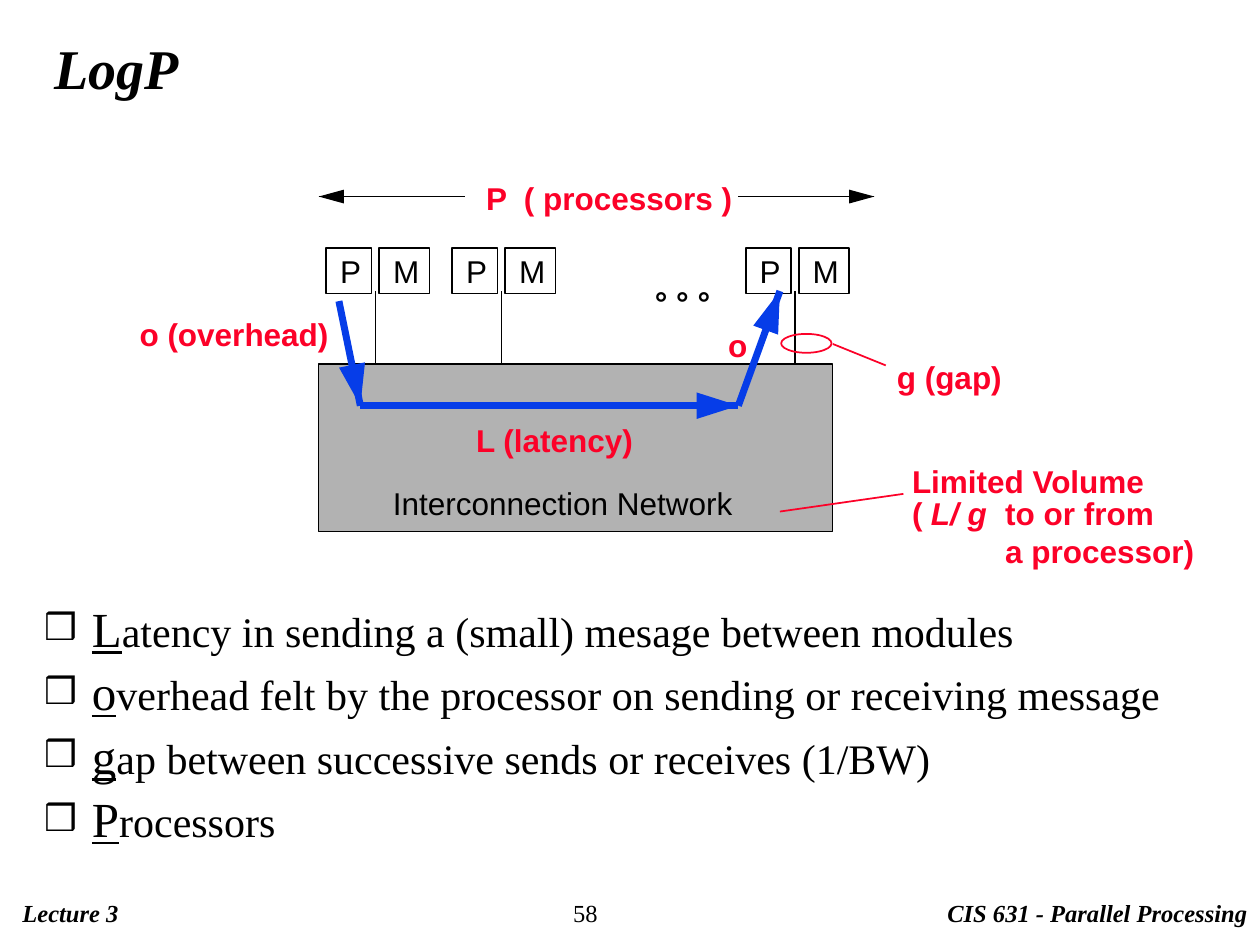
import math
from dataclasses import dataclass

import pptx
import pptx.dml.color
import pptx.enum.shapes
import pptx.enum.text
import pptx.oxml
import pptx.oxml.ns
import pptx.util
from pptx.util import Inches

SHAPES = pptx.enum.shapes.MSO_SHAPE
ANCHOR = pptx.enum.text.MSO_ANCHOR
LEFT = pptx.enum.text.PP_ALIGN.LEFT


@dataclass(frozen=True)
class Theme:
    serif: str = "Times New Roman"
    sans: str = "Arial"
    black: str = "000000"
    red: str = "FC0128"
    blue: str = "063DE8"
    gray: str = "B2B2B2"
    title: int = 32
    initial: int = 28
    body: int = 24
    label: int = 18
    footer: int = 14
    thin: float = 1
    thick: float = 4


T = Theme()


@dataclass(frozen=True)
class Box:
    left: float
    top: float
    width: float
    height: float

    def inner(self, x, y, width, height):
        return Box(self.left + x, self.top + y, width, height)

    def point(self, x, y):
        return self.left + x, self.top + y

    def emu(self):
        return [Inches(v) for v in (self.left, self.top, self.width, self.height)]


def rgb(color):
    return pptx.dml.color.RGBColor.from_string(color)


def style(p, font, size, color=T.black, bold=False, italic=False):
    p.alignment = LEFT
    for r in p.runs:
        f = r.font
        f.name, f.size, f.bold, f.italic = font, pptx.util.Pt(size), bold, italic
        f.color.rgb = rgb(color)


def place(sp, box):
    sp.left, sp.top, sp.width, sp.height = box.emu()


def add_text(s, box, text, font=T.sans, size=T.label, **look):
    sp = s.shapes.add_textbox(*box.emu())
    tf = sp.text_frame
    tf.word_wrap = False
    tf.text = text
    for p in tf.paragraphs:
        style(p, font, size, **look)


def add_label(s, box, text, italic=False):
    add_text(s, box, text, color=T.red, bold=True, italic=italic)


def add_outline(s, kind, box, color=T.black, fill=None, width=T.thin):
    sp = s.shapes.add_shape(kind, *box.emu())
    sp.shadow.inherit = False
    if fill:
        sp.fill.solid()
        sp.fill.fore_color.rgb = rgb(fill)
    else:
        sp.fill.background()
    sp.line.color.rgb = rgb(color)
    sp.line.width = pptx.util.Pt(width)
    return sp


def add_line(s, start, end, color=T.black, width=T.thin):
    ends = [Inches(v) for v in (*start, *end)]
    line = s.shapes.add_connector(pptx.enum.shapes.MSO_CONNECTOR.STRAIGHT, *ends)
    line.line.color.rgb = rgb(color)
    line.line.width = pptx.util.Pt(width)
    pptx.oxml.ns.qn("a:effectLst")
    line._element.spPr.append(pptx.oxml.parse_xml(
        f"<a:effectLst {pptx.oxml.ns.nsdecls('a')}/>"))


def add_arrow(s, start, end, color, width, length, breadth):
    """Line with a long triangular head whose tip is at end."""
    add_line(s, start, end, color, width)
    angle = math.atan2(end[1] - start[1], end[0] - start[0])
    ux, uy = math.cos(angle), math.sin(angle)
    base_x, base_y = end[0] - length * ux, end[1] - length * uy
    corners = [(Inches(base_x - side * uy), Inches(base_y + side * ux))
               for side in (breadth / 2, -breadth / 2)]
    builder = s.shapes.build_freeform(Inches(end[0]), Inches(end[1]))
    builder.add_line_segments(corners, close=True)
    head = builder.convert_to_shape()
    head.shadow.inherit = False
    head.fill.solid()
    head.fill.fore_color.rgb = rgb(color)
    head.line.fill.background()


def add_node(s, box):
    """Processor and memory side by side, with a wire down to the network."""
    for name, x, width in (("P", 0, 0.36), ("M", 0.42, 0.4)):
        sp = add_outline(s, SHAPES.RECTANGLE, box.inner(x, 0, width, box.height))
        tf = sp.text_frame
        tf.word_wrap = False
        tf.vertical_anchor = ANCHOR.MIDDLE
        tf.margin_left, tf.margin_right = Inches(0.11), 0
        tf.text = name
        style(tf.paragraphs[0], T.sans, T.label)
    add_line(s, box.point(0.39, 0.34), box.point(0.39, 0.92))


def add_processors(s, box):
    add_label(s, box.inner(1.23, 0, 2.16, 0.4), "P  ( processors )")
    for start, end in ((1.16, 0), (3.33, 4.41)):
        add_arrow(s, box.point(start, 0.19), box.point(end, 0.19),
                  T.black, T.thin, 0.2, 0.11)
    for x in (0.06, 1.06, 3.39):
        add_node(s, box.inner(x, 0.6, 0.82, 0.36))
    add_text(s, box.inner(2.57, 0.83, 0.64, 0.4), "°\u00a0°\u00a0°".replace("\u00a0", " "),
             bold=True)


def add_network(s, box):
    add_outline(s, SHAPES.RECTANGLE, box, fill=T.gray, width=0.75)
    add_text(s, box.inner(0.49, 0.9, 2.9, 0.4), "Interconnection Network")


def add_message(s, box):
    """Blue route from sender to receiver, with its costs."""
    route = [box.point(*xy) for xy in ((0.16, 0), (0.33, 0.83), (3.33, 0.83), (3.66, -0.08))]
    for start, end in zip(route, route[1:]):
        add_arrow(s, start, end, T.blue, T.thick, 0.33, 0.21)
    add_label(s, box.inner(-1.52, 0.06, 1.7, 0.4), "o (overhead)")
    add_label(s, box.inner(1.15, 0.9, 1.45, 0.4), "L (latency)")
    add_label(s, box.inner(3.15, 0.15, 0.36, 0.4), "o")


def add_limits(s, box):
    """Callouts for the gap and the limited volume."""
    add_outline(s, SHAPES.OVAL, box.inner(0.01, 0, 0.4, 0.15), color=T.red)
    for start, end in (((0.42, 0.08), (0.84, 0.25)), ((0, 1.41), (0.98, 1.27))):
        add_line(s, box.point(*start), box.point(*end), T.red)
    add_label(s, box.inner(0.83, 0.14, 1.04, 0.4), "g (gap)")
    add_label(s, box.inner(0.95, 0.97, 2.06, 0.4), "Limited Volume")
    add_label(s, box.inner(0.95, 1.22, 0.36, 0.4), "(")
    add_label(s, box.inner(1.1, 1.22, 0.72, 0.4), "L/ g", italic=True)
    add_label(s, box.inner(1.69, 1.22, 1.7, 0.7), "to or from\na processor)")


def fill_title(sp, box, text):
    place(sp, box)
    tf = sp.text_frame
    tf.vertical_anchor = ANCHOR.MIDDLE
    tf.auto_size = pptx.enum.text.MSO_AUTO_SIZE.NONE
    tf.text = text
    style(tf.paragraphs[0], T.serif, T.title, bold=True, italic=True)


def fill_list(sp, box, items):
    """Bulleted list whose first letters are larger and underlined."""
    place(sp, box)
    tf = sp.text_frame
    tf.auto_size = pptx.enum.text.MSO_AUTO_SIZE.NONE
    ns = pptx.oxml.ns.nsdecls("a")
    for i, item in enumerate(items):
        p = tf.add_paragraph() if i else tf.paragraphs[0]
        pPr = p._p.get_or_add_pPr()
        pPr.set("marL", str(Inches(0.38)))
        pPr.set("indent", str(Inches(-0.38)))
        for xml in (f'<a:buClr {ns}><a:srgbClr val="{T.black}"/></a:buClr>',
                    f'<a:buSzPct {ns} val="75000"/>',
                    f'<a:buChar {ns} char="❒"/>'):
            pPr.append(pptx.oxml.parse_xml(xml))
        p.line_spacing = 0.9
        p.space_before = pptx.util.Pt(6 if i else 0)
        for text in (item[0], item[1:]):
            p.add_run().text = text
        style(p, T.serif, T.body)
        p.runs[0].font.size = pptx.util.Pt(T.initial)
        p.runs[0].font.underline = True


def add_footer(s, box):
    for x, width, text, strong in ((0, 7.42, "Lecture 3", True),
                                   (4.37, 1.01, "58", False),
                                   (7.34, 2.58, "CIS 631 - Parallel Processing", True)):
        add_text(s, box.inner(x, 0, width, box.height), text, T.serif, T.footer,
                 bold=strong, italic=strong)


def main():
    prs = pptx.Presentation()
    prs.slide_width, prs.slide_height = Inches(10), Inches(7.5)
    s = prs.slides.add_slide(prs.slide_layouts[1])
    fill_title(s.shapes.title, Box(0.33, 0.28, 9.42, 0.5), "LogP")
    fill_list(s.placeholders[1], Box(0.25, 4.75, 9.58, 2.03), (
        "Latency in sending a (small) mesage between modules",
        "overhead felt by the processor on sending or receiving message",
        "gap between successive sends or receives (1/BW)",
        "Processors"))
    add_network(s, Box(2.53, 2.89, 4.08, 1.33))
    add_processors(s, Box(2.53, 1.37, 4.41, 1.52))
    add_message(s, Box(2.53, 2.39, 4.08, 1.3))
    add_limits(s, Box(6.19, 2.65, 3.39, 1.92))
    add_footer(s, Box(0.08, 7.08, 9.92, 0.34))
    prs.save("out.pptx")


if __name__ == "__main__":
    main()
